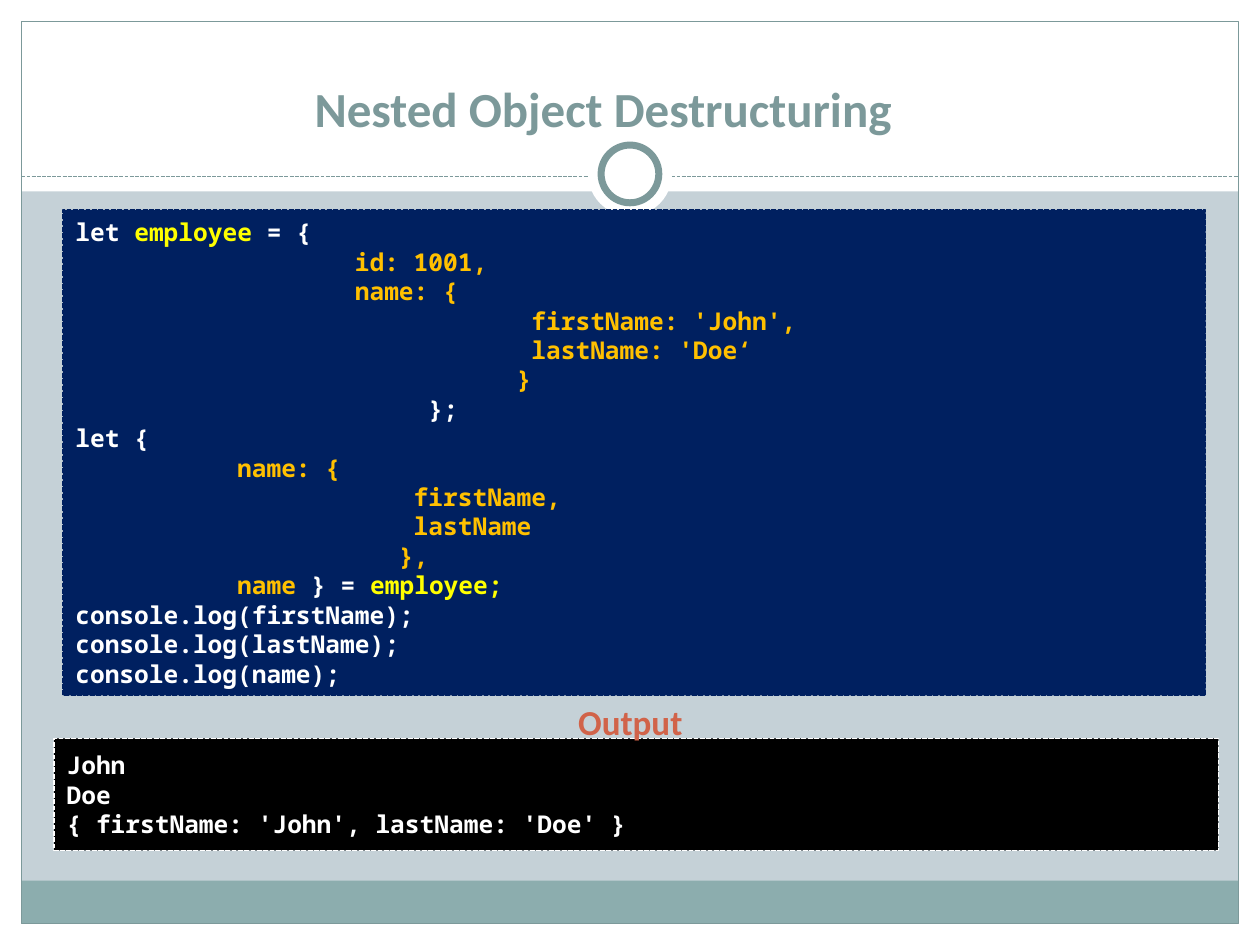
from lxml import etree
from pptx import Presentation
from pptx.dml.color import RGBColor
from pptx.enum.dml import MSO_LINE
from pptx.enum.shapes import MSO_CONNECTOR, MSO_SHAPE
from pptx.enum.text import MSO_ANCHOR, MSO_AUTO_SIZE, PP_ALIGN
from pptx.oxml.ns import qn
from pptx.util import Pt

RECTANGLE, OVAL = MSO_SHAPE.RECTANGLE, MSO_SHAPE.OVAL
STRAIGHT = MSO_CONNECTOR.STRAIGHT
SHORT_DASH = MSO_LINE.SQUARE_DOT
MIDDLE, BOTTOM = MSO_ANCHOR.MIDDLE, MSO_ANCHOR.BOTTOM
LEFT, CENTER = PP_ALIGN.LEFT, PP_ALIGN.CENTER
NO_AUTOFIT = MSO_AUTO_SIZE.NONE

WHITE = RGBColor(0xFF, 0xFF, 0xFF)
BLACK = RGBColor(0x00, 0x00, 0x00)
MIST = RGBColor(0xC5, 0xD1, 0xD7)
TEAL = RGBColor(0x8C, 0xAD, 0xAE)
SLATE = RGBColor(0x7C, 0x99, 0x9A)
NAVY = RGBColor(0x00, 0x20, 0x60)
YELLOW = RGBColor(0xFF, 0xFF, 0x00)
AMBER = RGBColor(0xFF, 0xC0, 0x00)
RUST = RGBColor(0xD1, 0x63, 0x49)

WIDTH, HEIGHT = 720, 540
MARGIN = 12.24
HEADER = 109.44
RULE_Y = 100.8

deck = Presentation()
deck.slide_width, deck.slide_height = Pt(WIDTH), Pt(HEIGHT)
page = deck.slides.add_slide(deck.slide_layouts[5])
page.background.fill.solid()
page.background.fill.fore_color.rgb = MIST


def add_panel(kind, left, top, width, height, fill=None, line=None, weight=0.75):
    panel = page.shapes.add_shape(kind, Pt(left), Pt(top), Pt(width), Pt(height))
    panel.shadow.inherit = False
    if fill is None:
        panel.fill.background()
    else:
        panel.fill.solid()
        panel.fill.fore_color.rgb = fill
    if line is None:
        panel.line.fill.background()
    else:
        panel.line.color.rgb = line
        panel.line.width = Pt(weight)
    return panel


def write_lines(frame, lines, font, size, align=LEFT):
    for number, line in enumerate(lines):
        para = frame.paragraphs[0] if number == 0 else frame.add_paragraph()
        para.alignment = align
        for text, color in line:
            span = para.add_run()
            span.text = text
            span.font.name = font
            span.font.size = Pt(size)
            span.font.bold = True
            span.font.color.rgb = color


for left, top, width, height in [
    (0, HEIGHT - MARGIN, WIDTH, MARGIN),
    (0, 0, WIDTH, HEADER),
    (0, 0, MARGIN, HEIGHT),
    (WIDTH - MARGIN, 0, MARGIN, HEIGHT),
]:
    add_panel(RECTANGLE, left, top, width, height, WHITE)

inner_width, inner_height = WIDTH - 2 * MARGIN, HEIGHT - 2 * MARGIN
add_panel(RECTANGLE, MARGIN, 503.3, inner_width, 24.5, TEAL)
add_panel(RECTANGLE, MARGIN, MARGIN, inner_width, inner_height, line=SLATE)

rule = page.shapes.add_connector(
    STRAIGHT, Pt(MARGIN), Pt(RULE_Y), Pt(WIDTH - MARGIN), Pt(RULE_Y)
)
rule.line.color.rgb = SLATE
rule.line.width = Pt(0.75)
rule.line.dash_style = SHORT_DASH
etree.SubElement(rule.element.spPr, qn("a:effectLst"))

for diameter, outline in [(48, None), (33, SLATE)]:
    add_panel(OVAL, (WIDTH - diameter) / 2, 99.4 - diameter / 2,
              diameter, diameter, WHITE, outline, 4)

title = page.shapes.title
page.shapes.element.append(title.element)
title.left, title.top, title.width, title.height = Pt(8.64), Pt(22.3), Pt(671.8), Pt(59.8)
title.text_frame.word_wrap = True
title.text_frame.auto_size = NO_AUTOFIT
title.text_frame.vertical_anchor = BOTTOM
write_lines(title.text_frame, [[("Nested Object Destructuring", SLATE)]], "Calibri", 28, CENTER)

code_lines = [
    [("let ", WHITE), ("employee", YELLOW), (" = {", WHITE)],
    [("                   id: 1001,", AMBER)],
    [("                   name: {", AMBER)],
    [("                               firstName: 'John',", AMBER)],
    [("                               lastName: 'Doe‘", AMBER)],
    [("                              }", AMBER)],
    [("                        };", WHITE)],
    [("let {", WHITE)],
    [("           name: {", AMBER)],
    [("                       firstName,", AMBER)],
    [("                       lastName", AMBER)],
    [("                      },", AMBER)],
    [("           name", AMBER), (" } = ", WHITE), ("employee;", YELLOW)],
    [("console.log(firstName);", WHITE)],
    [("console.log(lastName);", WHITE)],
    [("console.log(name);", WHITE)],
]
output_lines = [
    [("John", WHITE)],
    [("Doe", WHITE)],
    [("{ firstName: 'John', lastName: 'Doe' }", WHITE)],
]

code_box = add_panel(RECTANGLE, 36, 120, 653, 277.4, NAVY, NAVY, 0.9)
output_box = add_panel(RECTANGLE, 31, 422, 665.3, 64, BLACK, WHITE, 0.9)
for box, lines in [(code_box, code_lines), (output_box, output_lines)]:
    box.line.dash_style = SHORT_DASH
    box.text_frame.word_wrap = True
    box.text_frame.vertical_anchor = MIDDLE
    write_lines(box.text_frame, lines, "Noto Sans Mono", 14)

output_label = page.shapes.add_textbox(Pt(323.3), Pt(396.7), Pt(103), Pt(31.5))
output_label.text_frame.word_wrap = True
write_lines(output_label.text_frame, [[("Output", RUST)]], "Calibri", 20)

deck.save("out.pptx")
